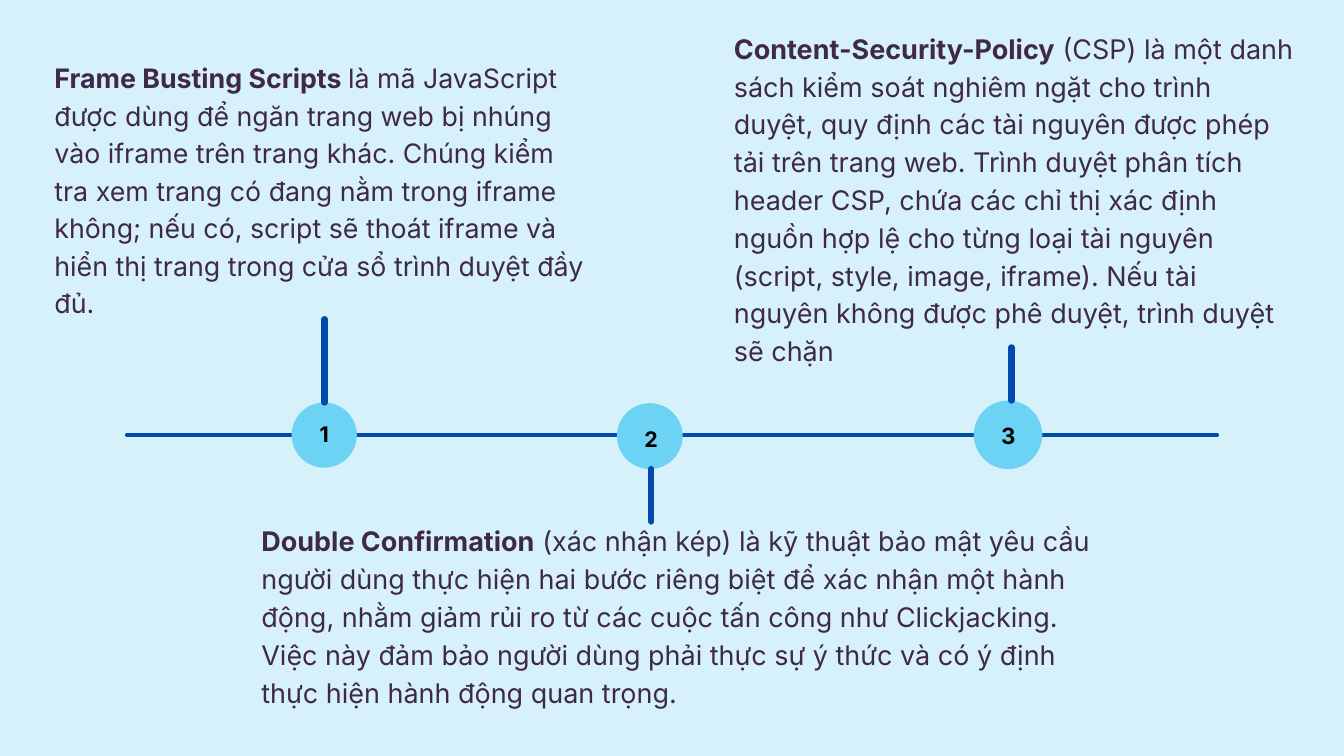
from lxml import etree
from pptx import Presentation
from pptx.dml.color import RGBColor
from pptx.enum.shapes import MSO_CONNECTOR, MSO_SHAPE
from pptx.enum.text import PP_ALIGN
from pptx.oxml.ns import qn
from pptx.util import Inches, Pt

COLORS = {"background": "D7F1FA", "line": "004AAD", "node": "6DD3F5",
          "text": "3F284B", "number": "000000"}
FONT = "Inter"
AXIS_Y = 6.47

# box, size, line spacing, bold lead, remaining text
NOTES = [
    ((0.81, 0.84, 8.05, 3.9), 28.7, 40.2, "Frame Busting Scripts ",
     "là mã JavaScript được dùng để ngăn trang web bị nhúng vào iframe trên "
     "trang khác. Chúng kiểm tra xem trang có đang nằm trong iframe không; nếu "
     "có, script sẽ thoát iframe và hiển thị trang trong cửa sổ trình duyệt đầy đủ."),
    ((10.92, 0.4, 8.38, 5.06), 28.9, 40.5, "Content-Security-Policy",
     " (CSP) là một danh sách kiểm soát nghiêm ngặt cho trình duyệt, quy định "
     "các tài nguyên được phép tải trên trang web. Trình duyệt phân tích header "
     "CSP, chứa các chỉ thị xác định nguồn hợp lệ cho từng loại tài nguyên "
     "(script, style, image, iframe). Nếu tài nguyên không được phê duyệt, "
     "trình duyệt sẽ chặn"),
    ((3.89, 7.73, 12.77, 2.81), 28.9, 40.5, "Double Confirmation",
     " (xác nhận kép) là kỹ thuật bảo mật yêu cầu người dùng thực hiện hai bước "
     "riêng biệt để xác nhận một hành động, nhằm giảm rủi ro từ các cuộc tấn "
     "công như Clickjacking. Việc này đảm bảo người dùng phải thực sự ý thức và "
     "có ý định thực hiện hành động quan trọng."),
]

# circle (left, top, diameter), number box (dx, dy, w, h), size, line spacing,
# stem (x, start y, end y)
NODES = [
    ((4.34, 5.99, 0.97), (0.17, 0.21, 0.63, 0.42), 22.9, 32, (4.83, 4.75, 5.99)),
    ((9.18, 6.0, 0.98), (0.19, 0.27, 0.64, 0.43), 23, 32.2, (9.69, 6.98, 7.76)),
    ((14.49, 5.96, 1.02), (0.18, 0.26, 0.67, 0.44), 24, 33.6, (15.05, 5.17, 5.96)),
]


def rgb(name):
    return RGBColor.from_string(COLORS[name])


def add_line(s, x1, y1, x2, y2, width):
    """Draw a round-capped line without a shadow."""
    line = s.shapes.add_connector(MSO_CONNECTOR.STRAIGHT, Inches(x1), Inches(y1),
                                  Inches(x2), Inches(y2))
    line.line.color.rgb = rgb("line")
    line.line.width = Pt(width)
    line.line._get_or_add_ln().set("cap", "rnd")
    etree.SubElement(line._element.spPr, qn("a:effectLst"))


def add_text(s, box, runs, size, spacing, color, align=PP_ALIGN.LEFT):
    """Place one paragraph; runs are (text, bold) pairs."""
    tf = s.shapes.add_textbox(*(Inches(v) for v in box)).text_frame
    tf.word_wrap = True
    tf.margin_left = tf.margin_top = tf.margin_right = tf.margin_bottom = 0
    p = tf.paragraphs[0]
    p.alignment = align
    p.line_spacing = Pt(spacing)
    for text, bold in runs:
        r = p.add_run()
        r.text = text
        r.font.name = FONT
        r.font.size = Pt(size)
        r.font.bold = bold
        r.font.color.rgb = rgb(color)


def add_node(s, number, circle, label, size, spacing, stem):
    left, top, diameter = circle
    sp = s.shapes.add_shape(MSO_SHAPE.OVAL, Inches(left), Inches(top),
                            Inches(diameter), Inches(diameter))
    sp.shadow.inherit = False
    sp.fill.solid()
    sp.fill.fore_color.rgb = rgb("node")
    sp.line.fill.background()
    x, start, end = stem
    add_line(s, x, start, x, end, 6.75)
    dx, dy, w, h = label
    add_text(s, (left + dx, top + dy, w, h), [(str(number), True)],
             size, spacing, "number", PP_ALIGN.CENTER)


def add_timeline(s):
    add_line(s, 1.89, AXIS_Y, 18.11, AXIS_Y, 4.5)
    for number, node in enumerate(NODES, 1):
        add_node(s, number, *node)


def add_notes(s):
    for box, size, spacing, lead, rest in NOTES:
        add_text(s, box, [(lead, True), (rest, False)], size, spacing, "text")


def main():
    prs = Presentation()
    prs.slide_width, prs.slide_height = Inches(20), Inches(11.25)
    s = prs.slides.add_slide(prs.slide_layouts[6])
    s.background.fill.solid()
    s.background.fill.fore_color.rgb = rgb("background")
    add_timeline(s)
    add_notes(s)
    prs.save("out.pptx")


if __name__ == "__main__":
    main()
